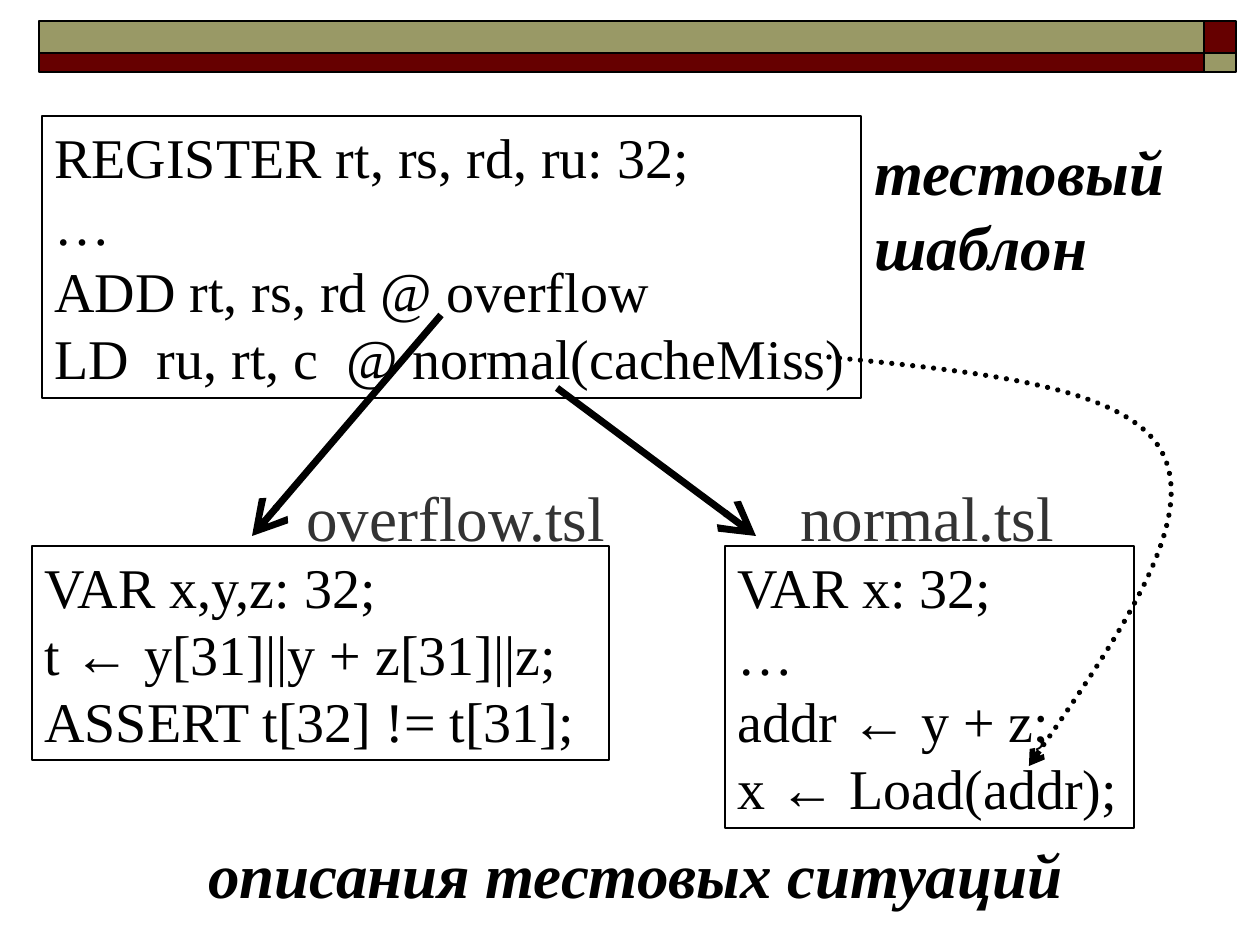
from dataclasses import dataclass

import lxml.etree
import pptx
import pptx.dml.color
import pptx.enum.dml
import pptx.enum.shapes
import pptx.enum.text
import pptx.oxml.ns
import pptx.util

EMU_PER_PX = 914400 / 126
BLACK, GREY, MAROON, OLIVE = "000000", "333333", "660000", "999966"
TEXT_FONT, SYMBOL_FONT = "Times New Roman", "Arial"
ASSIGN = "←"
LEFT = pptx.enum.text.PP_ALIGN.LEFT
CENTER = pptx.enum.text.PP_ALIGN.CENTER


@dataclass
class Bar:
    left: int
    top: int
    width: int
    height: int
    fill: str


@dataclass
class CodeBox:
    left: int
    top: int
    width: int
    height: int
    lines: list[str]


@dataclass
class Label:
    left: int
    top: int
    width: int
    height: int
    lines: list[str]
    color: str = BLACK
    emphasis: bool = False
    wrap: bool = False
    alignment: int = LEFT


@dataclass
class Arrow:
    start: tuple[int, int]
    end: tuple[int, int]


BARS = [
    Bar(1204, 21, 32, 32, MAROON),
    Bar(39, 21, 1165, 32, OLIVE),
    Bar(39, 53, 1165, 19, MAROON),
    Bar(1204, 53, 32, 19, OLIVE),
]
CODE_BOXES = [
    CodeBox(42, 116, 819, 282, [
        "REGISTER rt, rs, rd, ru: 32;",
        "…",
        "ADD rt, rs, rd @ overflow",
        "LD  ru, rt, c  @ normal(cacheMiss)",
    ]),
    CodeBox(32, 546, 577, 214, [
        "VAR x,y,z: 32;",
        "t ← y[31]||y + z[31]||z;",
        "ASSERT t[32] != t[31];",
    ]),
    CodeBox(725, 546, 409, 282, [
        "VAR x: 32;",
        "…",
        "addr ← y + z;",
        "x ← Load(addr);",
    ]),
]
CAPTIONS = [
    Label(862, 126, 317, 164, ["тестовый", "шаблон"], emphasis=True),
    Label(32, 829, 1207, 88, ["описания тестовых ситуаций"],
          emphasis=True, wrap=True, alignment=CENTER),
]
FILE_NAMES = [
    Label(294, 472, 330, 88, ["overflow.tsl"], GREY, wrap=True),
    Label(788, 472, 290, 88, ["normal.tsl"], GREY, wrap=True),
]
ARROWS = [Arrow((441, 315), (252, 536)), Arrow((557, 388), (756, 536))]
CURVE = [(829, 357), (980, 372), (1130, 386), (1163, 454),
         (1197, 522), (1114, 644), (1029, 766)]


def px(value: float) -> int:
    return round(value * EMU_PER_PX)


def rgb(color: str) -> pptx.dml.color.RGBColor:
    return pptx.dml.color.RGBColor.from_string(color)


def set_line(shape, width: float) -> None:
    shape.line.color.rgb = rgb(BLACK)
    shape.line.width = pptx.util.Pt(width)


def add_arrowhead(shape, size: str) -> None:
    line = shape.line._get_or_add_ln()
    lxml.etree.SubElement(line, pptx.oxml.ns.qn("a:tailEnd"),
                          type="arrow", w=size, len=size)


def add_rectangle(slide, box: Bar | CodeBox, line_width: float):
    shape = slide.shapes.add_shape(
        pptx.enum.shapes.MSO_SHAPE.RECTANGLE,
        px(box.left), px(box.top), px(box.width), px(box.height))
    shape.shadow.inherit = False
    set_line(shape, line_width)
    return shape


def write_lines(shape, lines: list[str], size: int, color: str = BLACK,
                emphasis: bool = False, wrap: bool = True, alignment=LEFT) -> None:
    frame_format = {
        "word_wrap": wrap,
        "auto_size": pptx.enum.text.MSO_AUTO_SIZE.SHAPE_TO_FIT_TEXT,
        "vertical_anchor": pptx.enum.text.MSO_ANCHOR.TOP,
    }
    for name, value in frame_format.items():
        setattr(shape.text_frame, name, value)
    paragraph = shape.text_frame.paragraphs[0]
    paragraph.alignment = alignment
    paragraph.line_spacing = pptx.util.Pt(size * 1.2)
    font_format = {"size": pptx.util.Pt(size), "bold": emphasis, "italic": emphasis}
    for index, line in enumerate(lines):
        if index:
            paragraph.add_line_break()
        for piece in filter(None, line.partition(ASSIGN)):
            run = paragraph.add_run()
            run.text = piece
            run.font.name = SYMBOL_FONT if piece == ASSIGN else TEXT_FONT
            run.font.color.rgb = rgb(color)
            for name, value in font_format.items():
                setattr(run.font, name, value)


def draw_bar(slide, bar: Bar) -> None:
    shape = add_rectangle(slide, bar, 1)
    shape.fill.solid()
    shape.fill.fore_color.rgb = rgb(bar.fill)


def draw_code_box(slide, box: CodeBox) -> None:
    shape = add_rectangle(slide, box, 1.5)
    shape.fill.background()
    write_lines(shape, box.lines, 32)


def draw_label(slide, label: Label) -> None:
    shape = slide.shapes.add_textbox(
        px(label.left), px(label.top), px(label.width), px(label.height))
    write_lines(shape, label.lines, 36, label.color, label.emphasis,
                label.wrap, label.alignment)


def draw_arrow(slide, arrow: Arrow) -> None:
    connector = slide.shapes.add_connector(
        pptx.enum.shapes.MSO_CONNECTOR.STRAIGHT,
        *map(px, arrow.start + arrow.end))
    set_line(connector, 4)
    add_arrowhead(connector, "lg")
    lxml.etree.SubElement(connector._element.spPr, pptx.oxml.ns.qn("a:effectLst"))


def draw_dotted_curve(slide, points: list[tuple[int, int]]) -> None:
    builder = slide.shapes.build_freeform(*points[0], scale=EMU_PER_PX)
    builder.add_line_segments(points[1:], close=False)
    shape = builder.convert_to_shape()
    segments = list(shape._element.iter(pptx.oxml.ns.qn("a:lnTo")))
    outline = segments[0].getparent()
    for start in range(0, len(segments), 3):
        curve = lxml.etree.SubElement(outline, pptx.oxml.ns.qn("a:cubicBezTo"))
        for segment in segments[start:start + 3]:
            curve.append(segment[0])
            outline.remove(segment)
    shape.shadow.inherit = False
    shape.fill.background()
    set_line(shape, 3)
    shape.line.dash_style = pptx.enum.dml.MSO_LINE.ROUND_DOT
    shape.line._get_or_add_ln().set("cap", "rnd")
    add_arrowhead(shape, "med")


def main() -> None:
    presentation = pptx.Presentation()
    presentation.slide_width = px(1260)
    presentation.slide_height = px(945)
    slide = presentation.slides.add_slide(presentation.slide_layouts[6])
    for bar in BARS:
        draw_bar(slide, bar)
    for box in CODE_BOXES:
        draw_code_box(slide, box)
    for caption in CAPTIONS:
        draw_label(slide, caption)
    for arrow in ARROWS:
        draw_arrow(slide, arrow)
    draw_dotted_curve(slide, CURVE)
    for file_name in FILE_NAMES:
        draw_label(slide, file_name)
    presentation.save("out.pptx")


if __name__ == "__main__":
    main()
